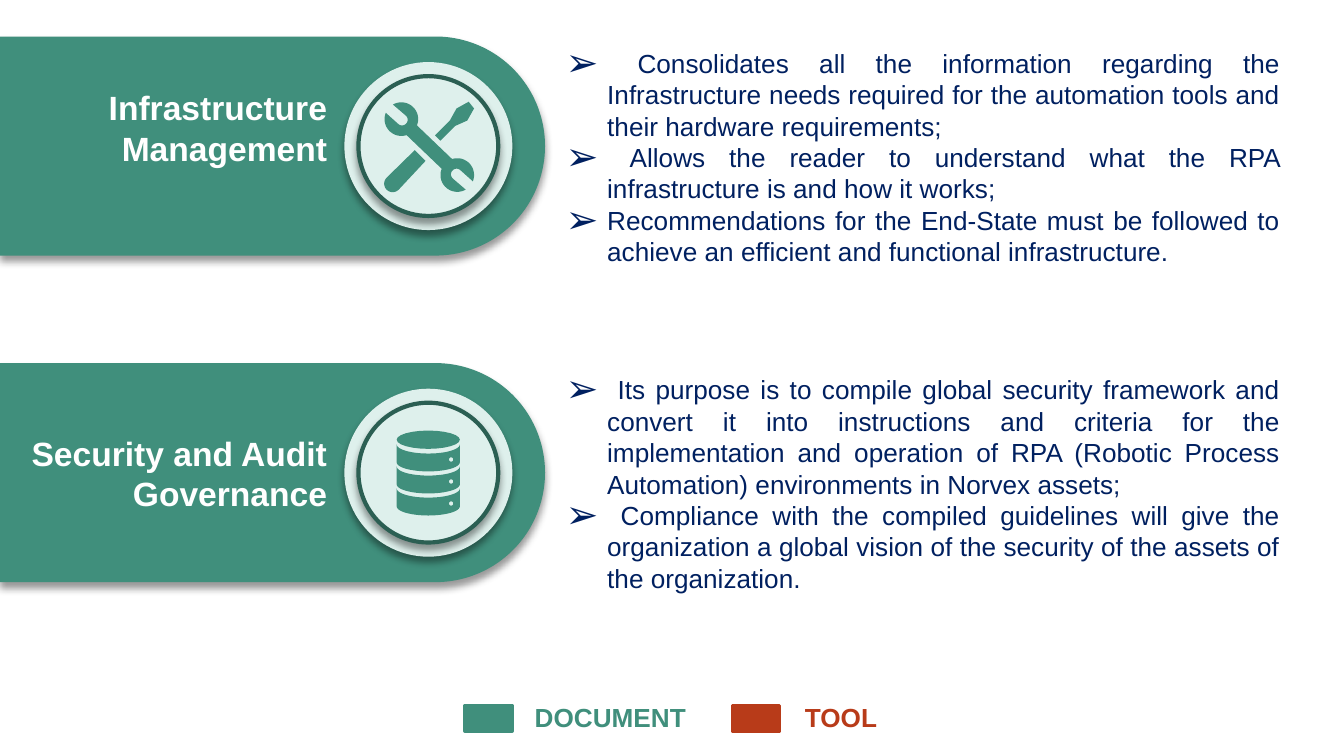
import dataclasses
import math

import lxml.etree
import pptx
import pptx.dml.color
import pptx.enum.shapes
import pptx.enum.text
import pptx.oxml.ns
import pptx.util

COLORS = {"green": "408F7C", "mint": "DEF0EC", "ring": "2B5F53", "navy": "002060",
          "rust": "B83B19", "white": "FFFFFF", "shadow": "000000"}
CELL = pptx.util.Inches(0.1)  # side of one grid cell; all lengths count cells
SHAPE = pptx.enum.shapes.MSO_SHAPE
ALIGN = pptx.enum.text.PP_ALIGN
ANCHOR = pptx.enum.text.MSO_ANCHOR
TITLE_FORMAT = {"name": "Arial", "size": pptx.util.Pt(18), "bold": True}
BODY_FORMAT = {"name": "Arial", "size": pptx.util.Pt(14)}
LABEL_FORMAT = BODY_FORMAT | {"bold": True}


@dataclasses.dataclass
class Box:
    col: float
    row: float
    cols: float
    rows: float

    def inner(self, col, row, cols, rows):
        return Box(self.col + col, self.row + row, cols, rows)

    def emu(self):
        return [round(n * CELL) for n in (self.col, self.row, self.cols, self.rows)]


def rgb(color):
    return pptx.dml.color.RGBColor.from_string(COLORS[color])


def add_xml(parent, tag, **attributes):
    return lxml.etree.SubElement(parent, pptx.oxml.ns.qn(tag), attributes)


def paint(shape, fill, line=None, width=0, shadow=False):
    shape.shadow.inherit = False
    shape.fill.solid()
    shape.fill.fore_color.rgb = rgb(fill)
    if line:
        shape.line.color.rgb = rgb(line)
        shape.line.width = pptx.util.Pt(width)
    else:
        shape.line.fill.background()
    if shadow:
        effects = shape._element.spPr.find(pptx.oxml.ns.qn("a:effectLst"))
        outer = add_xml(effects, "a:outerShdw", blurRad=str(pptx.util.Pt(4)),
                        dist=str(pptx.util.Pt(3)), dir="5400000", algn="ctr", rotWithShape="0")
        add_xml(add_xml(outer, "a:srgbClr", val=COLORS["shadow"]), "a:alpha", val="40000")


def add_bullet(paragraph):
    properties = paragraph._p.get_or_add_pPr()
    hang = pptx.util.Inches(0.31)
    properties.set("marL", str(hang))
    properties.set("indent", str(-hang))
    add_xml(add_xml(properties, "a:buClr"), "a:srgbClr", val=COLORS["navy"])
    add_xml(properties, "a:buSzPct", val="150000")
    add_xml(properties, "a:buFont", typeface="Arial")
    add_xml(properties, "a:buChar", char="➢")


def add_text(shapes, box, lines, font_format, color, align, anchor=ANCHOR.TOP,
             bullets=False, wrap=True):
    frame = shapes.add_textbox(*box.emu()).text_frame
    frame.word_wrap = wrap
    frame.vertical_anchor = anchor
    if wrap:
        frame.margin_top = frame.margin_bottom = CELL
    else:
        frame.auto_size = pptx.enum.text.MSO_AUTO_SIZE.SHAPE_TO_FIT_TEXT
    for index, line in enumerate(lines):
        paragraph = frame.add_paragraph() if index else frame.paragraphs[0]
        if bullets:
            add_bullet(paragraph)
        paragraph.alignment = align
        run = paragraph.add_run()
        run.text = line
        for attribute, value in font_format.items():
            setattr(run.font, attribute, value)
        run.font.color.rgb = rgb(color)


def arc(x, y, rx, ry, start, end, steps=24):
    angles = [math.radians(start + (end - start) * i / steps) for i in range(steps + 1)]
    return [(x + rx * math.cos(a), y + ry * math.sin(a)) for a in angles]


def add_outline(shapes, center, contours):
    """Draw closed contours given in cells from the center of a badge."""
    placed = [[((center[0] + x) * CELL, (center[1] + y) * CELL) for x, y in contour]
              for contour in contours]
    builder = shapes.build_freeform(*placed[0][0])
    for index, contour in enumerate(placed):
        if index:
            builder.move_to(*contour[0])
        builder.add_line_segments(contour[1:], close=True)
    paint(builder.convert_to_shape(), "green")


def draw_tools(shapes, center):
    icon = shapes.add_group_shape().shapes
    # Screwdriver handle and blade
    handle = [(-1, 0.3), (-0.2, 1.1)] + arc(-2.65, 2.8, 0.63, 0.63, 45, 225)
    blade = [(3, -3.3), (3.4, -2.8), (2.9, -1.9), (2, -1.5), (0.9, -0.4),
             (0.5, -0.8), (1.6, -1.9), (2.1, -2.8)]
    # Wrench: one jaw, then the same jaw turned half round about its middle
    middle = 0.08
    jaw = (arc(-2, -2, 1.25, 1.25, 72, 202) + arc(-1.95, -1.95, 0.42, 0.42, 135, -45)
           + arc(-2, -2, 1.25, 1.25, -120, 22))
    wrench = jaw + [(2 * middle - x, 2 * middle - y) for x, y in jaw]
    for contour in (handle, blade, wrench):
        add_outline(icon, center, [contour])


def draw_database(shapes, center):
    rx, ry, depth = 2.35, 0.68, 1.33
    contours = [arc(0, -2.45, rx, ry, 0, 360)]
    for tier in range(3):
        top = -2.1 + 1.64 * tier
        contours.append(arc(0, top, rx, ry, 180, 0) + arc(0, top + depth, rx, ry, 0, 180))
        contours.append(arc(1.7, top + 1.12, 0.16, 0.16, 0, 360))
    add_outline(shapes, center, contours)


def add_topic(shapes, box, title, title_anchor, points, draw_icon):
    # Tab: an upright shape turned a quarter round to fill the left of the box
    tab_length = 40.55
    tab = shapes.add_shape(SHAPE.ROUND_2_SAME_RECTANGLE, *box.inner(
        (tab_length - box.rows) / 2, (box.rows - tab_length) / 2, box.rows, tab_length).emu())
    tab.adjustments[0], tab.adjustments[1] = 0.5, 0
    tab.rotation = 90
    paint(tab, "green", shadow=True)

    # Badge: two discs on one center, with the icon on top
    x, y = 31.87, box.rows / 2
    badge = shapes.add_group_shape().shapes
    for size, line in ((12.5, None), (10.4, "ring")):
        disc = badge.add_shape(SHAPE.OVAL, *box.inner(x - size / 2, y - size / 2, size, size).emu())
        disc.rotation = 90
        paint(disc, "mint", line, 2.25, shadow=True)
    draw_icon(shapes, (box.col + x, box.row + y))

    # Title and bullet points
    add_text(shapes, box.inner(-0.27, 2.77, 25.6, 10.8), [title], TITLE_FORMAT, "white",
             ALIGN.RIGHT, title_anchor)
    add_text(shapes, box.inner(41.1, -0.2, 55.15, 19.6), points, BODY_FORMAT, "navy",
             ALIGN.JUSTIFY, bullets=True)


def add_legend_entry(shapes, box, label, color, label_col):
    entry = shapes.add_group_shape().shapes
    swatch = entry.add_shape(SHAPE.RECTANGLE, *box.inner(0, 0.8, 3.5, 1.9).emu())
    paint(swatch, color, color, 2)
    add_text(entry, box.inner(label_col, 0, box.cols - label_col, box.rows), [label],
             LABEL_FORMAT, color, ALIGN.LEFT, wrap=False)


TOPICS = [
    ("Infrastructure Management", ANCHOR.TOP, [
        " Consolidates all the information regarding the Infrastructure needs required for "
        "the automation tools and their hardware requirements;",
        " Allows the reader to understand what the RPA infrastructure is and how it works;",
        "Recommendations for the End-State must be followed to achieve an efficient and "
        "functional infrastructure."], draw_tools),
    ("Security and Audit Governance", ANCHOR.MIDDLE, [
        " Its purpose is to compile global security framework and convert it into "
        "instructions and criteria for the implementation and operation of RPA (Robotic "
        "Process Automation) environments in Norvex assets;",
        " Compliance with the compiled guidelines will give the organization a global "
        "vision of the security of the assets of the organization."], draw_database),
]


def main():
    deck = pptx.Presentation()
    deck.slide_width = pptx.util.Inches(10)
    deck.slide_height = deck.slide_width * 9 // 16
    shapes = deck.slides.add_slide(deck.slide_layouts[6]).shapes
    for index, topic in enumerate(TOPICS):
        add_topic(shapes, Box(0, 2.72 + 24.3 * index, 96.3, 16.3), *topic)
    add_legend_entry(shapes, Box(34.6, 51.7, 17.6, 3.4), "DOCUMENT", "green", 4.2)
    add_legend_entry(shapes, Box(54.5, 51.7, 11.9, 3.4), "TOOL", "rust", 4.4)
    deck.save("out.pptx")


if __name__ == "__main__":
    main()
